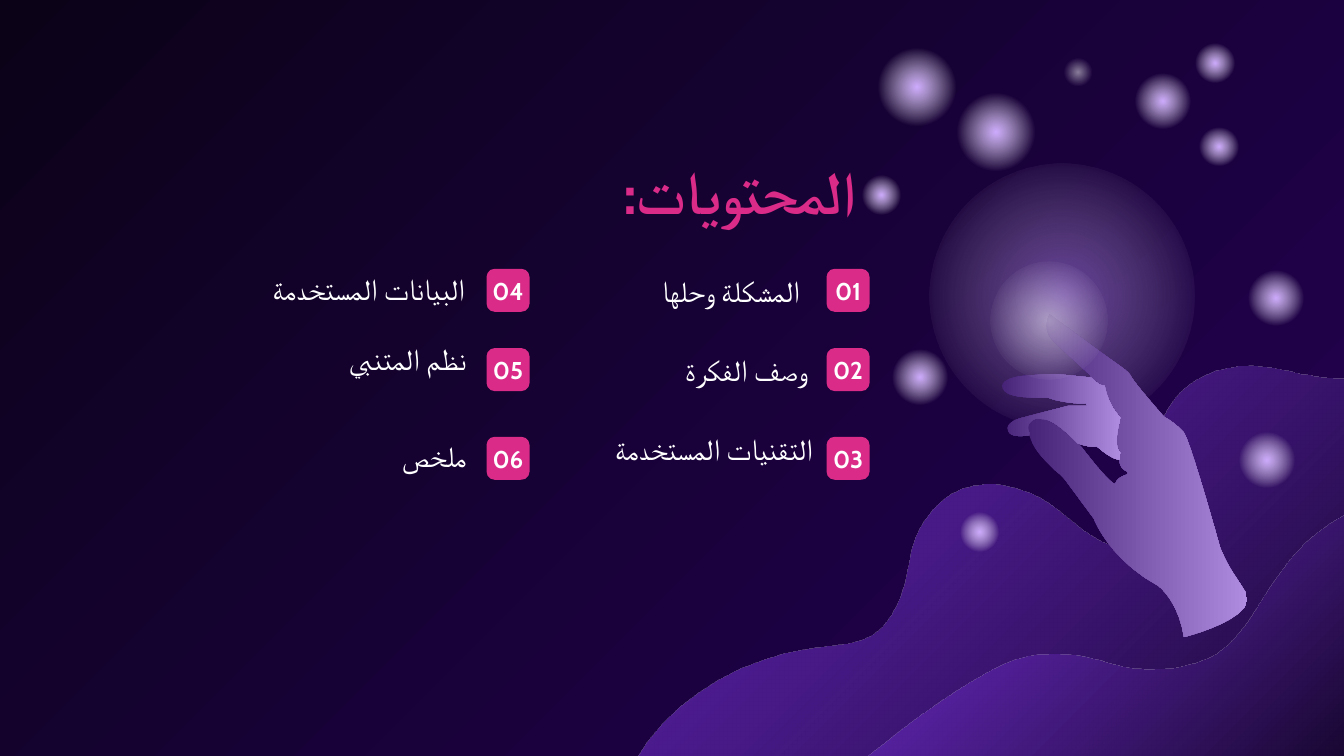
from lxml.etree import SubElement
from pptx import Presentation
from pptx.dml.color import RGBColor
from pptx.enum.shapes import MSO_SHAPE
from pptx.enum.text import MSO_ANCHOR, PP_ALIGN
from pptx.oxml.ns import qn
from pptx.util import Cm, Pt

UNIT = 2.54  # centimetres in one layout unit; the slide is 10 units wide
FONT = "Cabin"
PINK, WHITE, NIGHT, LILAC, VIOLET = "DA2B89", "FFFFFF", "240155", "CEABFF", "8134EC"
INK = "0B0218"
CURVE_STEPS = 10

TITLE = ("المحتويات:", (1.59, 1.19, 4.88, 0.59))
BADGE_SIZE = 0.32
BADGE_COLUMNS = (6.15, 3.62)
BADGE_ROWS = (2, 2.59, 3.25)
# Label and its box, down the right column and then the left one
TOPICS = [
    ("المشكلة وحلها", (4.65, 2.07, 1.4, 0.32)),
    ("وصف الفكرة", (4.71, 2.66, 1.4, 0.32)),
    ("التقنيات المستخدمة", (4.15, 3.25, 2, 0.32)),
    ("البيانات المستخدمة", (1.47, 2.07, 2.09, 0.31)),
    ("نظم المتنبي", (1.96, 2.64, 1.61, 0.26)),
    ("ملخص", (2.68, 3.3, 0.89, 0.32)),
]

# Left, top, diameter
GLOWS = [
    (6.46, 0.29, 0.72), (7.05, 0.62, 0.72),
    (8.4, 0.5, 0.51), (6.59, 2.55, 0.51), (9.17, 3.17, 0.51), (9.24, 1.96, 0.51),
    (8.86, 0.29, 0.36), (7.11, 3.78, 0.36), (6.38, 1.27, 0.36), (8.89, 0.91, 0.36),
]
FAINT_GLOW = (7.89, 0.41, 0.26)
AURA = (6.92, 1.22, 1.97)
ORB = (7.37, 1.95, 0.87)

# Outlines: a pair is a straight step, six numbers are a Bezier curve
BACK_WAVE = [
    (10.42, 2.65), (10.33, 2.71, 10.21, 2.78, 10.11, 2.8),
    (9.95, 2.83, 9.79, 2.8, 9.63, 2.77), (9.52, 2.74, 9.4, 2.72, 9.29, 2.72),
    (9.01, 2.72, 8.77, 2.85, 8.65, 3.11), (8.53, 3.38, 8.7, 3.68, 8.53, 3.94),
    (8.34, 4.23, 8.05, 3.93, 7.87, 3.79), (7.67, 3.63, 7.33, 3.52, 7.08, 3.67),
    (6.97, 3.74, 6.87, 3.86, 6.82, 3.98), (6.76, 4.12, 6.76, 4.27, 6.71, 4.41),
    (6.67, 4.53, 6.58, 4.69, 6.45, 4.74), (6.31, 4.8, 6.16, 4.8, 6.02, 4.82),
    (5.43, 4.91, 4.87, 5.27, 4.64, 5.83), (4.61, 5.9, 4.57, 6.01, 4.58, 6.09),
    (10.84, 6.09), (10.75, 2.27), (10.71, 2.4, 10.53, 2.57, 10.42, 2.65),
]
FRONT_WAVE = [
    (9.94, 3.87), (9.72, 4, 9.59, 4.16, 9.45, 4.37),
    (9.33, 4.55, 9.23, 4.75, 9.04, 4.87), (8.83, 4.98, 8.52, 5.01, 8.28, 4.94),
    (8.04, 4.86, 7.74, 4.82, 7.49, 4.93), (7.24, 5.04, 7.01, 5.21, 6.78, 5.37),
    (6.64, 5.48, 6.49, 5.59, 6.36, 5.71), (10.74, 5.71), (10.75, 3.68),
    (10.7, 3.67, 10.65, 3.66, 10.59, 3.66), (10.37, 3.66, 10.12, 3.76, 9.94, 3.87),
]
HAND = [
    (8.81, 3.22), (8.86, 3.29, 9.08, 4.08, 9.08, 4.08),
    (9.15, 4.24, 9.17, 4.25, 9.27, 4.41), (9.37, 4.6, 8.81, 4.74, 8.81, 4.74),
    (8.77, 4.47, 8.62, 4.36, 8.62, 4.36), (8.25, 4.16, 8.14, 3.86, 8.14, 3.86),
    (8.14, 3.86, 8, 3.67, 7.94, 3.59), (7.92, 3.56, 7.89, 3.53, 7.85, 3.5),
    (7.78, 3.43, 7.69, 3.35, 7.66, 3.24), (7.66, 3.22),
    (7.63, 3.17, 7.67, 3.13, 7.7, 3.12), (7.72, 3.11, 7.75, 3.12, 7.77, 3.12),
    (7.85, 3.13, 7.96, 3.24, 8.02, 3.3), (8.05, 3.33),
    (8.28, 3.63, 8.3, 3.6, 8.3, 3.6), (8.31, 3.55, 8.39, 3.53, 8.39, 3.53),
    (8.39, 3.51), (8.34, 3.49, 8.33, 3.45, 8.33, 3.42), (8.34, 3.37),
    (8.27, 3.32, 8.34, 3.11, 8.34, 3.11), (8.24, 3.01, 8.22, 2.87, 8.22, 2.87),
    (8.18, 2.87, 8.14, 2.83, 8.12, 2.81), (8.11, 2.79),
    (8.11, 2.79, 7.88, 2.58, 7.83, 2.53), (7.75, 2.44, 7.81, 2.34, 7.81, 2.34),
    (7.96, 2.45), (7.96, 2.45, 8.23, 2.65, 8.26, 2.67),
    (8.3, 2.7, 8.38, 2.75, 8.41, 2.79), (8.43, 2.84, 8.66, 3.1, 8.66, 3.1),
    (8.75, 3.15, 8.8, 3.21, 8.81, 3.22),
]
FINGERS = [
    (8.34, 3.11), (8.34, 3.11, 8.27, 3.32, 8.34, 3.37), (8.33, 3.42),
    (8.27, 3.42, 8.16, 3.32, 8.16, 3.32), (8.13, 3.33, 8.08, 3.32, 8.02, 3.3),
    (7.96, 3.24, 7.85, 3.13, 7.77, 3.12), (7.75, 3.12, 7.72, 3.11, 7.7, 3.12),
    (7.67, 3.13, 7.63, 3.17, 7.66, 3.22), (7.66, 3.24),
    (7.58, 3.25, 7.51, 3.25, 7.5, 3.2), (7.48, 3.14, 7.6, 3.11, 7.6, 3.11),
    (7.95, 3.02), (8.09, 3.02), (8.08, 3), (8.04, 3.01, 7.87, 2.99, 7.8, 2.96),
    (7.64, 2.96, 7.49, 2.96, 7.46, 2.89), (7.43, 2.82, 7.59, 2.8, 7.59, 2.8),
    (7.83, 2.78), (8.12, 2.81), (8.14, 2.83, 8.18, 2.87, 8.22, 2.87),
    (8.22, 2.87, 8.24, 3.01, 8.34, 3.11),
]

# Gradient stops: position, colour, opacity (all in percent)
WAVE_STOPS = [(0, INK, 100), (100, VIOLET, 69)]
SKIN_STOPS = [(0, "462377", 100), (100, "AF8CE0", 100)]


def units(*values):
    return [Cm(value * UNIT) for value in values]


def color(code):
    return RGBColor.from_string(code)


def fading(code, opacity, end):
    """Stops that fade from a colour to clear white at the end percentage."""
    return [(0, code, opacity), (end, WHITE, 0), (100, WHITE, 0)]


def set_gradient(fill, element, stops, angle=None):
    """Fill with a linear gradient, or a circular one when no angle is given."""
    fill.gradient()
    gradient = next(element.iter(qn("a:gradFill")))
    gradient.clear()
    stop_list = SubElement(gradient, qn("a:gsLst"))
    for position, code, opacity in stops:
        stop = SubElement(stop_list, qn("a:gs"), pos=str(position * 1000))
        tint = SubElement(stop, qn("a:srgbClr"), val=code)
        if opacity < 100:
            SubElement(tint, qn("a:alpha"), val=str(opacity * 1000))
    if angle is None:
        circle = SubElement(gradient, qn("a:path"), path="circle")
        SubElement(circle, qn("a:fillToRect"), l="50000", t="50000", r="50000", b="50000")
    else:
        SubElement(gradient, qn("a:lin"), ang=str(angle * 60000), scaled="0")


def strip(shape):
    shape.shadow.inherit = False
    shape.line.fill.background()
    return shape


def flatten(outline):
    points = [outline[0]]
    for step in outline[1:]:
        if len(step) == 2:
            points.append(step)
            continue
        corners = (points[-1], step[:2], step[2:4], step[4:])
        for index in range(1, CURVE_STEPS + 1):
            t = index / CURVE_STEPS
            weights = ((1 - t) ** 3, 3 * t * (1 - t) ** 2, 3 * t * t * (1 - t), t ** 3)
            points.append(tuple(sum(w * c[axis] for w, c in zip(weights, corners))
                                for axis in (0, 1)))
    return [units(*point) for point in points]


def add_outline(page, outline, stops, angle):
    start, *rest = flatten(outline)
    builder = page.shapes.build_freeform(*start)
    builder.add_line_segments(rest, close=True)
    shape = strip(builder.convert_to_shape())
    set_gradient(shape.fill, shape.element, stops, angle)


def add_glow(page, left, top, size, stops):
    shape = strip(page.shapes.add_shape(MSO_SHAPE.OVAL, *units(left, top, size, size)))
    set_gradient(shape.fill, shape.element, stops)


def write(shape, text, size, code, bold, side, anchor, rtl=False):
    frame = shape.text_frame
    frame.text = text
    frame.word_wrap = True
    frame.vertical_anchor = anchor
    frame.margin_top = frame.margin_bottom = Cm(0.25)
    frame.margin_left = frame.margin_right = Cm(side)
    para = frame.paragraphs[0]
    para.alignment = PP_ALIGN.RIGHT if rtl else PP_ALIGN.CENTER
    span = para.runs[0]
    span.font.name, span.font.size, span.font.bold = FONT, Pt(size), bold
    span.font.color.rgb = color(code)
    if rtl:
        para._p.get_or_add_pPr().set("rtl", "1")
        SubElement(span.font._element, qn("a:cs"), typeface=FONT)


def add_label(page, text, place, size, code, bold=False):
    box = page.shapes.add_textbox(*units(*place))
    write(box, text, size, code, bold, 0.25, MSO_ANCHOR.BOTTOM, rtl=True)


def add_badge(page, number, left, top):
    badge = strip(page.shapes.add_shape(
        MSO_SHAPE.ROUNDED_RECTANGLE, *units(left, top, BADGE_SIZE, BADGE_SIZE)))
    badge.adjustments[0] = 0.19
    badge.fill.solid()
    badge.fill.fore_color.rgb = color(PINK)
    write(badge, f"{number:02}", 13, WHITE, True, 0, MSO_ANCHOR.MIDDLE)


def main():
    deck = Presentation()
    deck.slide_width, deck.slide_height = units(10, 5.625)
    page = deck.slides.add_slide(deck.slide_layouts[6])
    set_gradient(page.background.fill, page.element, [(0, INK, 100), (100, NIGHT, 100)], 45)
    for wave in (BACK_WAVE, FRONT_WAVE):
        add_outline(page, wave, WAVE_STOPS, 225)
    for glow in GLOWS:
        add_glow(page, *glow, fading(LILAC, 100, 57))
    add_glow(page, *FAINT_GLOW, fading(WHITE, 49, 57))
    add_glow(page, *AURA, fading("B47FFF", 49, 78))
    for part in (HAND, FINGERS):
        add_outline(page, part, SKIN_STOPS, 0)
    add_glow(page, *ORB, fading(WHITE, 49, 76))
    add_label(page, *TITLE, 32, PINK, bold=True)
    for index, (text, place) in enumerate(TOPICS):
        column, row = divmod(index, len(BADGE_ROWS))
        add_label(page, text, place, 16, WHITE)
        add_badge(page, index + 1, BADGE_COLUMNS[column], BADGE_ROWS[row])
    deck.save("out.pptx")


if __name__ == "__main__":
    main()
